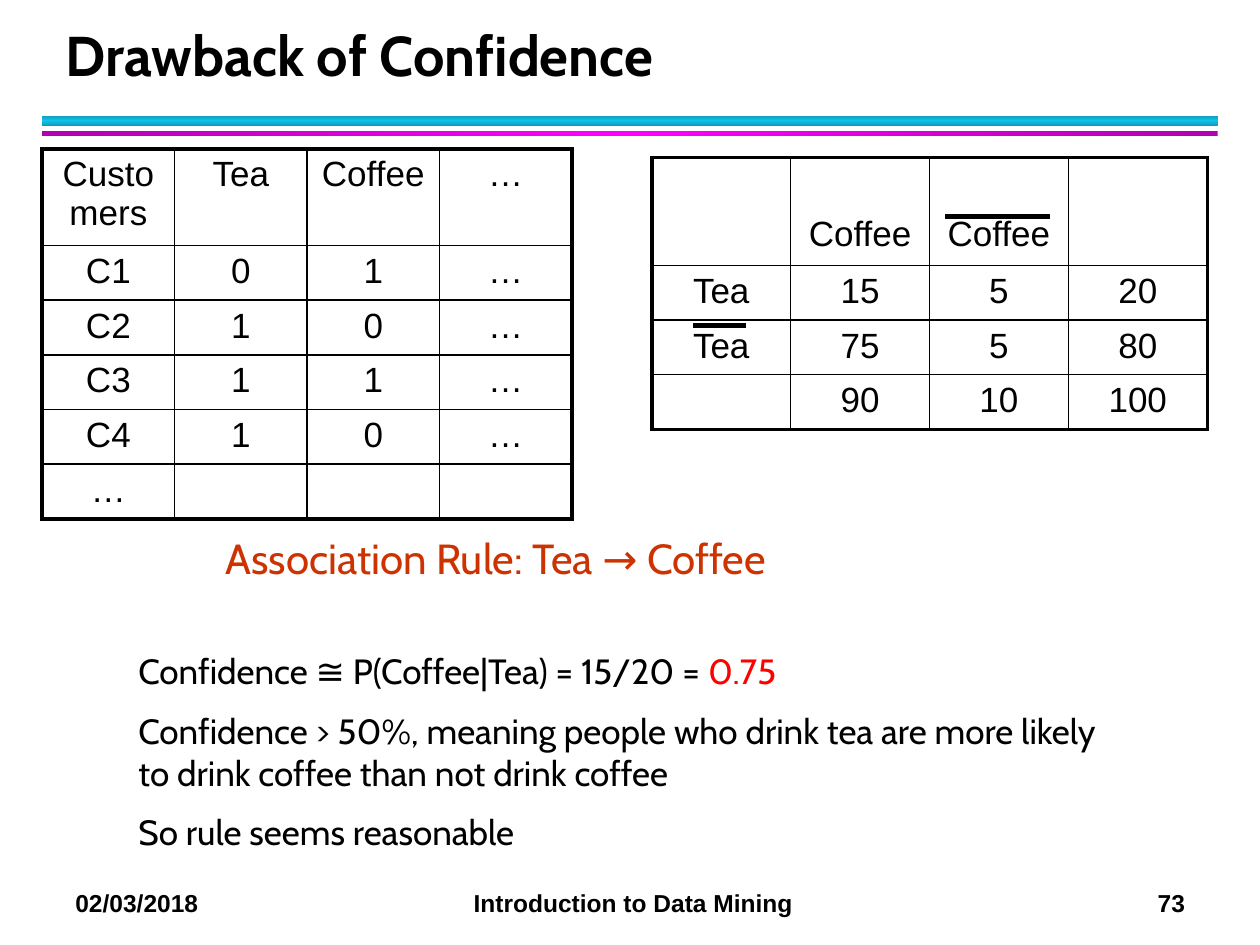
import copy
import dataclasses

import lxml.etree
import pptx
import pptx.dml.color
import pptx.enum.dml
import pptx.enum.shapes
import pptx.enum.text
import pptx.oxml.ns
import pptx.util

Cm = pptx.util.Cm
Pt = pptx.util.Pt
qn = pptx.oxml.ns.qn
Align = pptx.enum.text.PP_ALIGN
Anchor = pptx.enum.text.MSO_ANCHOR

COLORS = {
    "black": "000000",
    "rule": "CC3300",
    "result": "FF0000",
    "cyan": "12C2E9",
    "dark cyan": "0E9BBA",
    "magenta": "FF00FF",
    "dark magenta": "B200B2",
}


@dataclasses.dataclass
class Span:
    text: str
    color: str = "black"
    size: float = 20
    font: str = "Cabin"
    bold: bool = False


@dataclasses.dataclass
class Line:
    spans: list[Span]
    before: float = 10
    indent: float = 0


@dataclasses.dataclass
class Grid:
    left: float
    top: float
    column: float
    header: float
    rows: list[list[str]]
    header_anchor: Anchor = Anchor.TOP


@dataclasses.dataclass
class Bar:
    top: float
    height: float
    edge: str
    middle: str
    angle: float


@dataclasses.dataclass
class Overline:
    left: float
    right: float
    y: float


ROW_HEIGHT = 1.1
BARS = [
    Bar(2.33, 0.21, "dark cyan", "cyan", 90),
    Bar(2.64, 0.11, "dark magenta", "magenta", 0),
]
CONTINGENCY = Grid(13.14, 3.17, 2.8, 2.18, [
    ["", "Coffee", "Coffee", ""],
    ["Tea", "15", "5", "20"],
    ["Tea", "75", "5", "80"],
    ["", "90", "10", "100"],
], Anchor.BOTTOM)
CUSTOMERS = Grid(0.85, 3, 2.67, 1.94, [
    ["Customers", "Tea", "Coffee", "…"],
    ["C1", "0", "1", "…"],
    ["C2", "1", "0", "…"],
    ["C3", "1", "1", "…"],
    ["C4", "1", "0", "…"],
    ["…", "", "", ""],
])
OVERLINES = [Overline(19.05, 21.17, 4.37), Overline(13.97, 15.03, 6.56)]
BODY = [
    Line([Span("Association Rule: Tea → Coffee", "rule", 24)], 0, 1.76),
    Line([Span("Confidence ≅ P(Coffee|Tea) = 15/20 = "), Span("0.75", "result")], 38),
    Line([Span("Confidence > 50%, meaning people who drink tea are more likely "
               "to drink coffee than not drink coffee")]),
    Line([Span("So rule seems reasonable")]),
]


def rgb(name: str) -> pptx.dml.color.RGBColor:
    return pptx.dml.color.RGBColor.from_string(COLORS[name])


def add_span(para, span: Span) -> None:
    run = para.add_run()
    run.text = span.text
    run.font.name = span.font
    run.font.size = Pt(span.size)
    run.font.bold = span.bold
    run.font.color.rgb = rgb(span.color)


def add_bar(page, bar: Bar) -> None:
    shape = page.shapes.add_shape(pptx.enum.shapes.MSO_SHAPE.RECTANGLE,
                                  Cm(0.85), Cm(bar.top), Cm(23.7), Cm(bar.height))
    shape.shadow.inherit = False
    shape.line.fill.background()
    shape.fill.gradient()
    shape.fill.gradient_angle = bar.angle
    stop_list = shape._element.spPr.find(".//" + qn("a:gsLst"))
    stop_list.insert(1, copy.deepcopy(stop_list[0]))
    for stop, position, color in zip(shape.fill.gradient_stops, (0, 0.5, 1),
                                     (bar.edge, bar.middle, bar.edge)):
        stop.position = position
        stop.color.rgb = rgb(color)


def set_title(page, text: str) -> None:
    title = page.shapes.title
    title.left, title.top, title.width, title.height = Cm(1.07), Cm(0.43), Cm(23), Cm(1.47)
    title.text_frame.vertical_anchor = Anchor.BOTTOM
    title.text_frame.auto_size = pptx.enum.text.MSO_AUTO_SIZE.NONE
    para = title.text_frame.paragraphs[0]
    para.alignment = Align.LEFT
    para.line_spacing = Pt(36)
    add_span(para, Span(text, size=32, bold=True))


def set_border(cell, side: str, width: float) -> None:
    border = lxml.etree.SubElement(cell._tc.get_or_add_tcPr(), qn("a:ln" + side),
                                   w=str(Pt(width)))
    fill = lxml.etree.SubElement(border, qn("a:solidFill"))
    lxml.etree.SubElement(fill, qn("a:srgbClr"), val=COLORS["black"])


def add_grid(page, grid: Grid) -> None:
    row_count, column_count = len(grid.rows), len(grid.rows[0])
    heights = [grid.header] + [ROW_HEIGHT] * (row_count - 1)
    table = page.shapes.add_table(row_count, column_count, Cm(grid.left), Cm(grid.top),
                                  Cm(grid.column * column_count), Cm(sum(heights))).table
    table.first_row = table.horz_banding = False
    for column in table.columns:
        column.width = Cm(grid.column)
    for row, height in zip(table.rows, heights):
        row.height = Cm(height)
    for r, texts in enumerate(grid.rows):
        for c, text in enumerate(texts):
            cell = table.cell(r, c)
            outer = {"L": c == 0, "R": c == column_count - 1,
                     "T": r == 0, "B": r == row_count - 1}
            for side, is_outer in outer.items():
                set_border(cell, side, 2.25 if is_outer else 1)
            cell.fill.background()
            if r == 0 and grid.header_anchor == Anchor.BOTTOM:
                cell.vertical_anchor = Anchor.BOTTOM
                cell.margin_bottom = Cm(0.23)
            if text:
                para = cell.text_frame.paragraphs[0]
                para.alignment = Align.CENTER
                add_span(para, Span(text, font="Arial"))


def add_overline(page, overline: Overline) -> None:
    line = page.shapes.add_connector(pptx.enum.shapes.MSO_CONNECTOR.STRAIGHT,
                                     Cm(overline.left), Cm(overline.y),
                                     Cm(overline.right), Cm(overline.y))
    line.line.color.rgb = rgb("black")
    line.line.width = Pt(3)
    lxml.etree.SubElement(line._element.spPr, qn("a:effectLst"))


def add_body(page, lines: list[Line]) -> None:
    box = page.shapes.add_textbox(Cm(2.54), Cm(10.62), Cm(20.53), Cm(6.93))
    box.text_frame.word_wrap = True
    for index, line in enumerate(lines):
        para = box.text_frame.add_paragraph() if index else box.text_frame.paragraphs[0]
        para.space_before = Pt(line.before)
        if line.indent:
            para._p.get_or_add_pPr().set("indent", str(Cm(line.indent)))
        for span in line.spans:
            add_span(para, span)


def add_footer(page, text: str) -> None:
    box = page.shapes.add_textbox(Cm(1.27), Cm(17.78), Cm(23.7), Cm(0.86))
    box.text_frame.word_wrap = True
    para = box.text_frame.paragraphs[0]
    tabs = lxml.etree.SubElement(para._p.get_or_add_pPr(), qn("a:tabLst"))
    for position, side in ((8.03, "l"), (22.37, "r")):
        lxml.etree.SubElement(tabs, qn("a:tab"), pos=str(Cm(position)), algn=side)
    add_span(para, Span(text, size=14, font="Arial", bold=True))


def main() -> None:
    deck = pptx.Presentation()
    deck.slide_width, deck.slide_height = Cm(25.4), Cm(19.05)
    page = deck.slides.add_slide(deck.slide_layouts.get_by_name("Title Only"))
    for bar in BARS:
        add_bar(page, bar)
    add_footer(page, "02/03/2018\tIntroduction to Data Mining\t73")
    set_title(page, "Drawback of Confidence")
    add_grid(page, CONTINGENCY)
    for overline in OVERLINES:
        add_overline(page, overline)
    add_body(page, BODY)
    add_grid(page, CUSTOMERS)
    deck.save("out.pptx")


if __name__ == "__main__":
    main()
